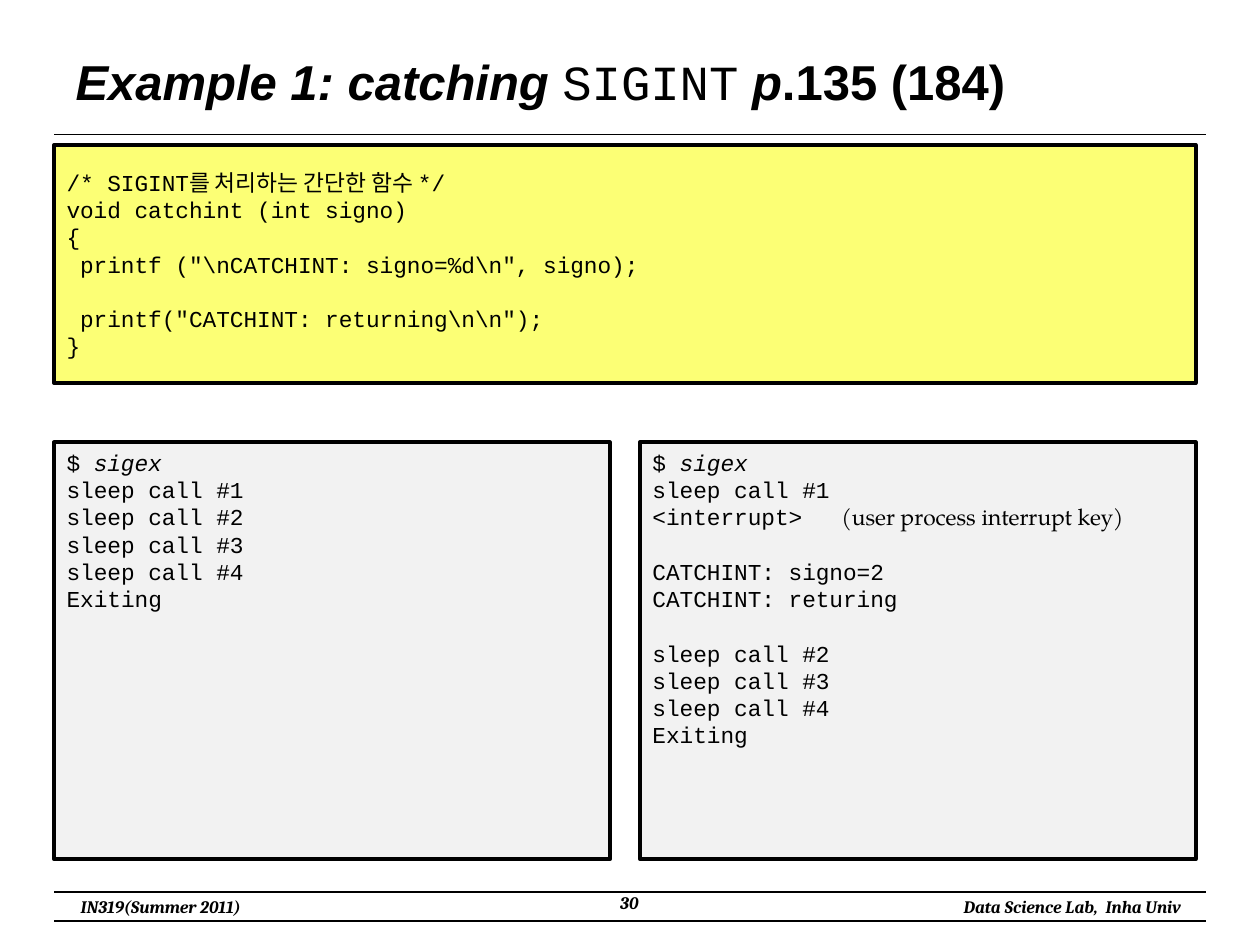
from lxml.etree import SubElement
from pptx import Presentation
from pptx.dml.color import RGBColor
from pptx.enum.shapes import MSO_CONNECTOR, MSO_SHAPE
from pptx.enum.text import MSO_ANCHOR as Anchor, PP_ALIGN as Align
from pptx.oxml.ns import qn
from pptx.util import Inches, Pt

BLACK = RGBColor(0x00, 0x00, 0x00)
YELLOW = RGBColor(0xFC, 0xFF, 0x75)
GREY = RGBColor(0xF2, 0xF2, 0xF2)
CODE_FONT, NOTE_FONT = "Courier New", "TeX Gyre Pagella"
CODE_SIZE, CODE_LINE = 13, 15.6

LEFT, RIGHT = 0.43, 9.57
PANEL_WIDTH, PANEL_GAP = 4.41, 0.24
PANEL_TOP, PANEL_HEIGHT = 3.51, 3.31

CATCHINT_CODE = r'''/* SIGINT를 처리하는 간단한 함수 */
void catchint (int signo)
{
 printf ("\nCATCHINT: signo=%d\n", signo);

 printf("CATCHINT: returning\n\n");
}'''.split("\n")
COMMAND = [("$ ", {}), ("sigex", {"italic": True})]
LATER_CALLS = ["sleep call #2", "sleep call #3", "sleep call #4", "Exiting"]
PLAIN_RUN = [COMMAND, "sleep call #1", *LATER_CALLS]
INTERRUPTED_RUN = [
    COMMAND, "sleep call #1",
    [("<interrupt>\t", {}),
     ("(user process interrupt key)", {"name": NOTE_FONT})],
    "", "CATCHINT: signo=2", "CATCHINT: returing",
    "", *LATER_CALLS,
]


def style(font, name, size, bold=False, italic=False):
    font.name, font.size = name, Pt(size)
    font.bold, font.italic = bold, italic
    font.color.rgb = BLACK


def add_runs(paragraph, runs):
    """Add (text, font settings) pairs as runs."""
    for text, settings in runs:
        run = paragraph.add_run()
        run.text = text
        for key, value in settings.items():
            setattr(run.font, key, value)


def add_rule(slide, y):
    rule = slide.shapes.add_connector(
        MSO_CONNECTOR.STRAIGHT, Inches(LEFT), Inches(y), Inches(RIGHT), Inches(y))
    rule.line.color.rgb = BLACK
    rule.line.width = Pt(0.75)
    SubElement(rule._element.spPr, qn("a:effectLst"))


def set_title(slide):
    title = slide.shapes.title
    title.left, title.top = Inches(0.5), Inches(0.3)
    title.width, title.height = Inches(9), Inches(0.69)
    title.text_frame.vertical_anchor = Anchor.MIDDLE
    heading = title.text_frame.paragraphs[0]
    heading.alignment = Align.LEFT
    style(heading.font, "Arial", 28, bold=True)
    add_runs(heading, [
        ("Example 1: catching ", {"italic": True}),
        ("SIGINT", {"name": CODE_FONT, "bold": False}),
        (" p", {"italic": True}),
        (".135 (184)", {}),
    ])


def add_footer(slide, text, left, top, width, height, align, wrap=False):
    box = slide.shapes.add_textbox(*map(Inches, (left, top, width, height)))
    box.text_frame.word_wrap = wrap
    label = box.text_frame.paragraphs[0]
    label.text = text
    label.alignment = align
    style(label.font, "Cambria", 10, bold=True, italic=True)


def add_code_panel(slide, lines, left, top, width, height, fill, anchor=Anchor.TOP):
    """Draw a framed listing; an empty line becomes space above the next one."""
    panel = slide.shapes.add_shape(
        MSO_SHAPE.RECTANGLE, *map(Inches, (left, top, width, height)))
    panel.shadow.inherit = False
    panel.fill.solid()
    panel.fill.fore_color.rgb = fill
    panel.line.color.rgb = BLACK
    panel.line.width = Pt(2.25)
    frame = panel.text_frame
    frame.word_wrap = False
    frame.vertical_anchor = anchor

    gap = 0
    for index, line in enumerate(lines):
        if not line:
            gap += CODE_LINE
            continue
        paragraph = frame.add_paragraph() if index else frame.paragraphs[0]
        paragraph.alignment = Align.LEFT
        paragraph.line_spacing = Pt(CODE_LINE)
        if gap:
            paragraph.space_before = Pt(gap)
            gap = 0
        style(paragraph.font, CODE_FONT, CODE_SIZE)
        add_runs(paragraph, [(line, {})] if isinstance(line, str) else line)


def main():
    deck = Presentation()
    deck.slide_width, deck.slide_height = Inches(10), Inches(7.5)
    slide = deck.slides.add_slide(deck.slide_layouts[5])

    for y in (1.07, 7.08, 7.31):
        add_rule(slide, y)
    set_title(slide)

    add_footer(slide, "IN319(Summer 2011)", 0.41, 7.06, 1.73, 0.27, Align.CENTER)
    add_footer(slide, "30", 3.83, 7.03, 2.33, 0.31, Align.CENTER, wrap=True)
    add_footer(slide, "Data Science Lab,  Inha Univ", 7.16, 7.06, 2.31, 0.27, Align.RIGHT)

    add_code_panel(slide, CATCHINT_CODE, LEFT, 1.15, 2 * PANEL_WIDTH + PANEL_GAP, 1.89,
                   YELLOW, Anchor.MIDDLE)
    for column, session in enumerate((PLAIN_RUN, INTERRUPTED_RUN)):
        add_code_panel(slide, session, LEFT + column * (PANEL_WIDTH + PANEL_GAP),
                       PANEL_TOP, PANEL_WIDTH, PANEL_HEIGHT, GREY)

    deck.save("out.pptx")


if __name__ == "__main__":
    main()
